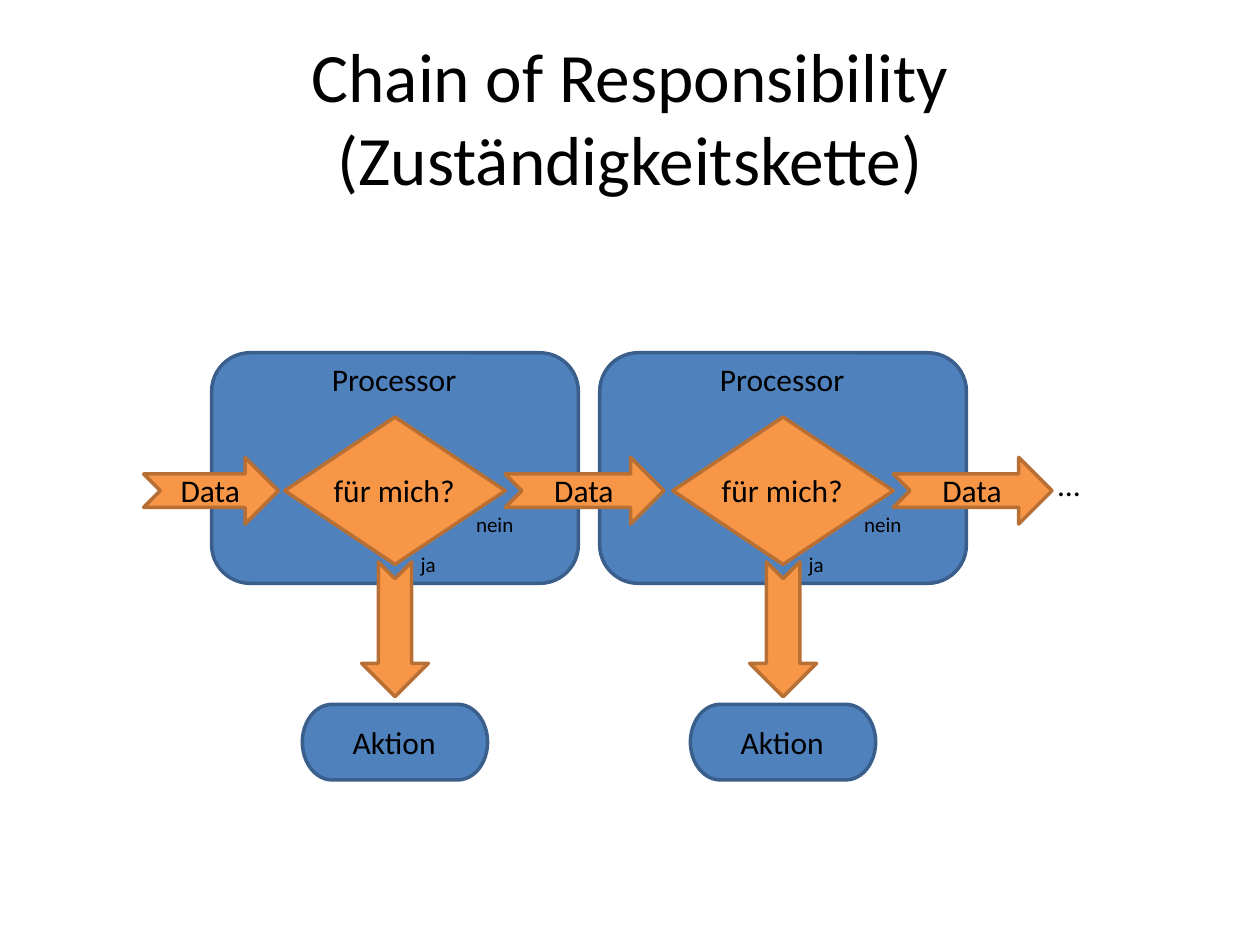
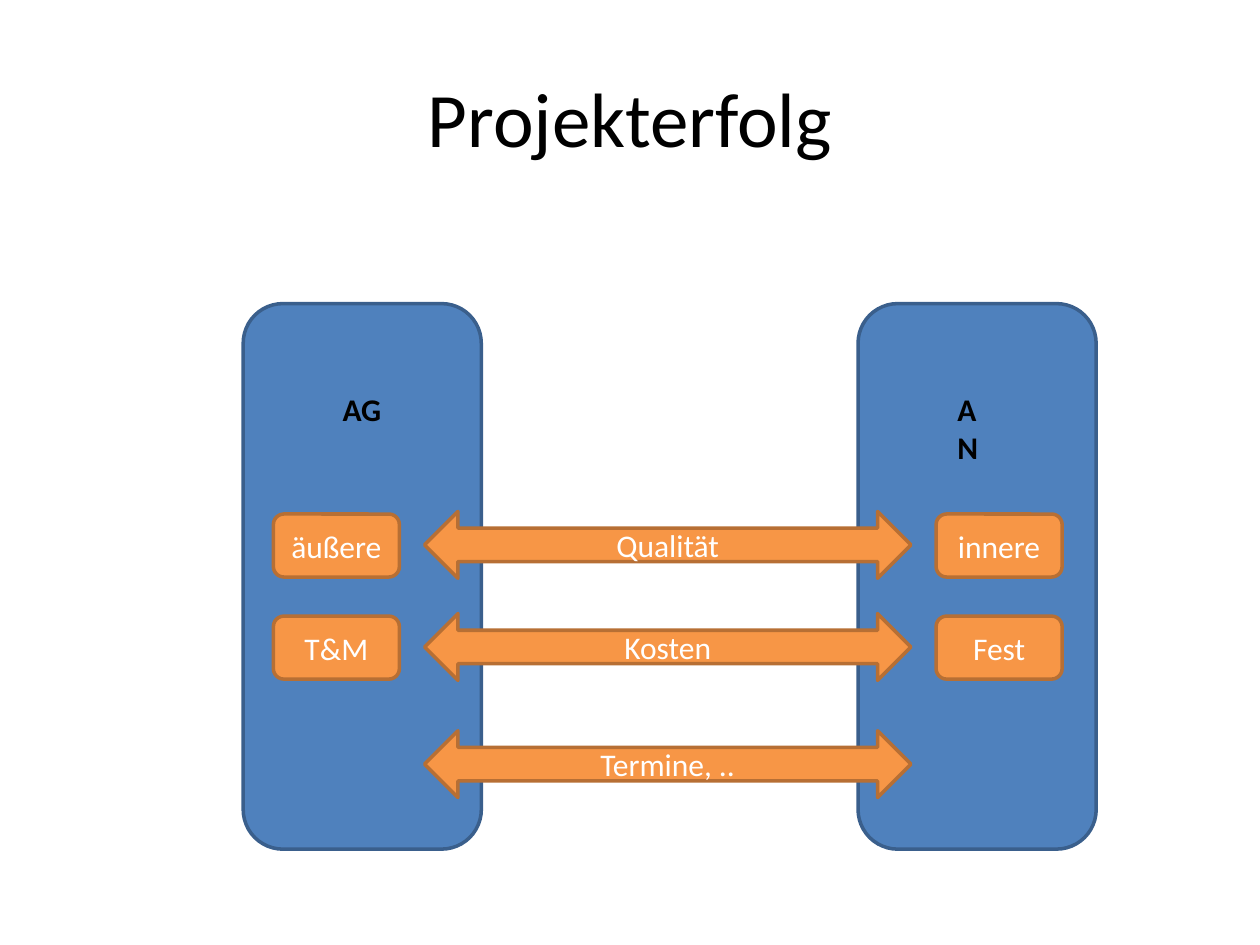
"""Build two diagram slides: a chain of responsibility and project success."""
from pptx import Presentation
from pptx.dml.color import RGBColor
from pptx.enum.shapes import MSO_SHAPE
from pptx.enum.text import MSO_ANCHOR, MSO_AUTO_SIZE, PP_ALIGN
from pptx.util import Inches, Pt

ROUNDED = MSO_SHAPE.ROUNDED_RECTANGLE
DECISION = MSO_SHAPE.FLOWCHART_DECISION
TERMINATOR = MSO_SHAPE.FLOWCHART_TERMINATOR
NOTCHED_ARROW = MSO_SHAPE.NOTCHED_RIGHT_ARROW
DOUBLE_ARROW = MSO_SHAPE.LEFT_RIGHT_ARROW
MIDDLE = MSO_ANCHOR.MIDDLE
CENTER = PP_ALIGN.CENTER
FIXED = MSO_AUTO_SIZE.NONE
GROW = MSO_AUTO_SIZE.SHAPE_TO_FIT_TEXT

BLACK = RGBColor(0x00, 0x00, 0x00)
WHITE = RGBColor(0xFF, 0xFF, 0xFF)
BLUE = RGBColor(0x4F, 0x81, 0xBD)
DARK_BLUE = RGBColor(0x3A, 0x5F, 0x8C)
ORANGE = RGBColor(0xF7, 0x96, 0x46)
DARK_ORANGE = RGBColor(0xB7, 0x6F, 0x34)
BLUE_STYLE = (BLUE, DARK_BLUE)
ORANGE_STYLE = (ORANGE, DARK_ORANGE)

FONT = "Calibri"
TEXT_SIZE = 18
SMALL_SIZE = 12
ARROW_HEIGHT = 0.53
PROCESSOR_LEFT = 1.68
PROCESSOR_PITCH = 3.08


def style_text(paragraph, size, color, bold=False):
    """Set the font of a whole paragraph."""
    font = paragraph.font
    font.name = FONT
    font.size = Pt(size)
    font.color.rgb = color
    font.bold = bold


def add_titled_slide(deck, title, size):
    """Add a title-only slide with a centred title."""
    page = deck.slides.add_slide(deck.slide_layouts[5])
    box = page.shapes.title
    box.left, box.top = Inches(0.5), Inches(0.3)
    box.width, box.height = Inches(9), Inches(1.25)
    frame = box.text_frame
    frame.text = title
    frame.word_wrap = True
    frame.auto_size = FIXED
    frame.vertical_anchor = MIDDLE
    paragraph = frame.paragraphs[0]
    paragraph.alignment = CENTER
    style_text(paragraph, size, BLACK)
    return page


def add_block(page, kind, left, top, width, height, style, text=""):
    """Add an outlined shape, with centred white text if any is given."""
    block = page.shapes.add_shape(
        kind, Inches(left), Inches(top), Inches(width), Inches(height))
    fill_color, line_color = style
    block.shadow.inherit = False
    block.fill.solid()
    block.fill.fore_color.rgb = fill_color
    block.line.color.rgb = line_color
    block.line.width = Pt(2)
    if text:
        frame = block.text_frame
        frame.text = text
        frame.vertical_anchor = MIDDLE
        frame.paragraphs[0].alignment = CENTER
        style_text(frame.paragraphs[0], TEXT_SIZE, WHITE)
    return block


def add_label(page, text, left, top, width, size=TEXT_SIZE, bold=False):
    """Add an unwrapped black label."""
    height = 0.4 if size == TEXT_SIZE else 0.3
    box = page.shapes.add_textbox(
        Inches(left), Inches(top), Inches(width), Inches(height))
    frame = box.text_frame
    frame.text = text
    frame.word_wrap = False
    frame.auto_size = GROW
    style_text(frame.paragraphs[0], size, BLACK, bold)


def add_data_arrow(page, left, width):
    """Add an arrow that carries data to the right."""
    add_block(page, NOTCHED_ARROW, left, 3.63, width, ARROW_HEIGHT, ORANGE_STYLE)
    label_width = 0.68
    add_label(page, "Data", left + (width - label_width) / 2, 3.69, label_width)


def add_processor(page, left):
    """Add a processor with its decision, outgoing arrows and action."""
    center = left + 2.91 / 2
    add_block(page, ROUNDED, left, 2.8, 2.91, 1.83, BLUE_STYLE)
    add_label(page, "Processor", center - 0.6, 2.81, 1.2)
    add_block(page, DECISION, center - 0.875, 3.31, 1.75, 1.17, ORANGE_STYLE)
    add_label(page, "für mich?", center - 0.585, 3.69, 1.17)
    add_label(page, "ja", left + 1.56, 4.33, 0.32, SMALL_SIZE)
    add_label(page, "nein", left + 2, 4.01, 0.5, SMALL_SIZE)
    add_data_arrow(page, left + 2.33, 1.26)
    down_arrow = add_block(page, NOTCHED_ARROW, center - 0.535, 4.73,
                           1.07, ARROW_HEIGHT, ORANGE_STYLE)
    down_arrow.rotation = 90
    add_block(page, TERMINATOR, center - 0.735, 5.59, 1.47, 0.6, BLUE_STYLE)
    add_label(page, "Aktion", center - 0.435, 5.69, 0.87)


def build_chain(deck):
    """Build the chain of processors."""
    page = add_titled_slide(
        deck, "Chain of Responsibility\v(Zuständigkeitskette)", 39.6)
    for index in (1, 0):
        add_processor(page, PROCESSOR_LEFT + index * PROCESSOR_PITCH)
    add_data_arrow(page, 1.14, 1.07)
    add_label(page, "…", 8.3, 3.64, 0.38)


def build_success(deck):
    """Build the comparison of the two project parties."""
    page = add_titled_slide(deck, "Projekterfolg", 44)
    for name, left in (("AG", 1.93), ("AN", 6.81)):
        add_block(page, ROUNDED, left, 2.41, 1.89, 4.33, BLUE_STYLE)
        add_label(page, name, left + 0.69, 3.05, 0.51, bold=True)
    topics = (
        (4.06, "Qualität", "äußere", "innere"),
        (4.87, "Kosten", "T&M", "Fest"),
        (5.8, "Termine, ..", "", ""),
    )
    for top, topic, *positions in topics:
        add_block(page, DOUBLE_ARROW, 3.37, top, 3.86, ARROW_HEIGHT,
                  ORANGE_STYLE, topic)
        for left, position in zip((2.17, 7.43), positions):
            if position:
                add_block(page, ROUNDED, left, top + 0.02, 1, 0.5,
                          ORANGE_STYLE, position)


def main():
    """Create and save the deck."""
    deck = Presentation()
    deck.slide_width = Inches(10)
    deck.slide_height = Inches(7.5)
    build_chain(deck)
    build_success(deck)
    deck.save("out.pptx")


main()
